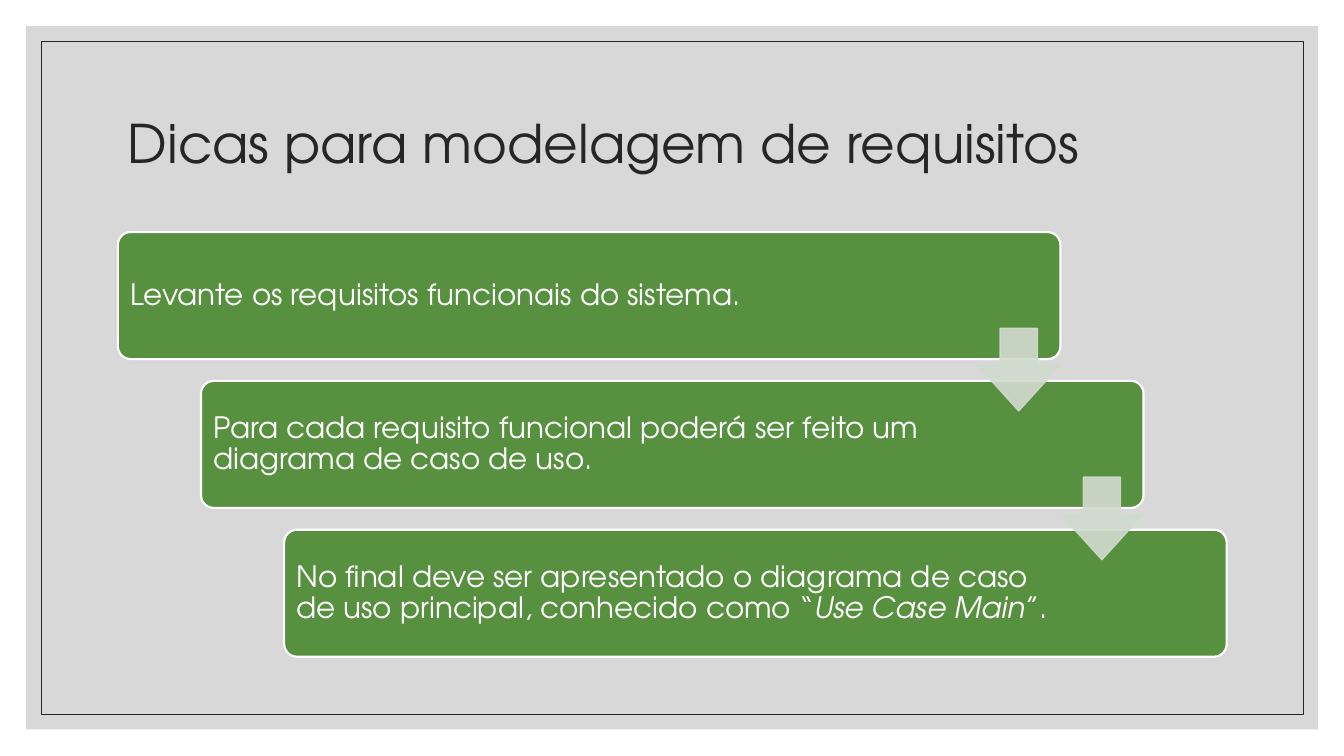
"""Build a slide with three cascading steps for requirements modelling."""
from dataclasses import dataclass

from lxml import etree
from pptx import Presentation, util as u
from pptx.dml import color
from pptx.enum import shapes, text
from pptx.oxml import ns

FONT = "TeX Gyre Adventor"
INK, WHITE, GREEN, PALE = "262626", "FFFFFF", "57903F", "D1DBCF"
KIND = shapes.MSO_SHAPE
STEP_X, STEP_Y = 59.4, 106.3


@dataclass
class Box:
    left: float
    top: float
    width: float
    height: float

    def shift(self, dx: float, dy: float) -> "Box":
        return Box(self.left + dx, self.top + dy, self.width, self.height)

    def points(self) -> list:
        return [u.Pt(v) for v in (self.left, self.top, self.width, self.height)]


@dataclass
class Step:
    runs: list[tuple[str, bool]]
    width: float = 549.4


BAR = Box(84.2, 165.8, 673.2, 90.7)
LABEL = Box(86.6, 168.4, 549.4, 85.7)
ARROW = Box(698.2, 234.5, 59, 59)

STEPS = [
    Step([("Levante os requisitos funcionais do sistema.", False)], 575.3),
    Step([("Para cada requisito funcional poderá ser feito um "
           "diagrama de caso de uso.", False)]),
    Step([("No final deve ser apresentado o diagrama de caso de uso "
           "principal, conhecido como “", False),
          ("Use Case Main", True), ("”.", False)]),
]


def paint(target, hue: str, alpha: int = 100) -> None:
    target.solid()
    target.fore_color.rgb = color.RGBColor.from_string(hue)
    if alpha < 100:
        tone = target._xPr.find(ns.qn("a:solidFill"))[0]
        etree.SubElement(tone, ns.qn("a:alpha"), val=str(alpha * 1000))


def draw(slide, kind, box: Box, fill: str = "", line: str = "",
         weight: float = 1, alpha: int = 100, adjust: tuple = ()) -> None:
    shape = slide.shapes.add_shape(kind, *box.points())
    shape.shadow.inherit = False
    for index, value in enumerate(adjust):
        shape.adjustments[index] = value
    if fill:
        paint(shape.fill, fill, alpha)
    else:
        shape.fill.background()
    if line:
        paint(shape.line.fill, line, alpha)
        shape.line.width = u.Pt(weight)
    else:
        shape.line.fill.background()


def write(shape, runs: list[tuple[str, bool]], size: float, hue: str,
          inset: float) -> None:
    frame = shape.text_frame
    frame.word_wrap = True
    frame.auto_size = text.MSO_AUTO_SIZE.NONE
    frame.vertical_anchor = text.MSO_ANCHOR.MIDDLE
    frame.margin_left = frame.margin_right = u.Pt(inset)
    frame.margin_top = frame.margin_bottom = u.Pt(inset)
    para = frame.paragraphs[0]
    para.alignment = text.PP_ALIGN.LEFT
    para.line_spacing = 0.9
    para.font.name = FONT
    para.font.size = u.Pt(size)
    paint(para.font.fill, hue)
    for words, slant in runs:
        run = para.add_run()
        run.text = words
        if slant:
            run.font.italic = True


def main() -> None:
    deck = Presentation()
    deck.slide_width, deck.slide_height = u.Pt(960), u.Pt(540)
    slide = deck.slides.add_slide(deck.slide_layouts[5])

    draw(slide, KIND.RECTANGLE, Box(18.7, 18.7, 922.8, 502.4),
         fill="BFBFBF", alpha=60)
    draw(slide, KIND.RECTANGLE, Box(29.5, 29.5, 901.6, 481),
         line=INK, weight=0.5)

    title = slide.shapes.title
    title.element.getparent().append(title.element)
    title.left, title.top, title.width, title.height = Box(
        84.2, 50.4, 792, 108).points()
    write(title, [("Dicas para modelagem de requisitos", False)], 38, INK, 7.2)

    for index, step in enumerate(STEPS):
        dx, dy = index * STEP_X, index * STEP_Y
        draw(slide, KIND.ROUNDED_RECTANGLE, BAR.shift(dx, dy),
             fill=GREEN, line=WHITE, weight=1.5, adjust=(0.1,))
        spot = LABEL.shift(dx, dy)
        spot.width = step.width
        label = slide.shapes.add_textbox(*spot.points())
        write(label, step.runs, 21, WHITE, 6.3)

    for index in range(len(STEPS) - 1):
        draw(slide, KIND.DOWN_ARROW,
             ARROW.shift(index * STEP_X, index * STEP_Y),
             fill=PALE, line=PALE, alpha=90, adjust=(0.45, 0.55))

    deck.save("out.pptx")


if __name__ == "__main__":
    main()
